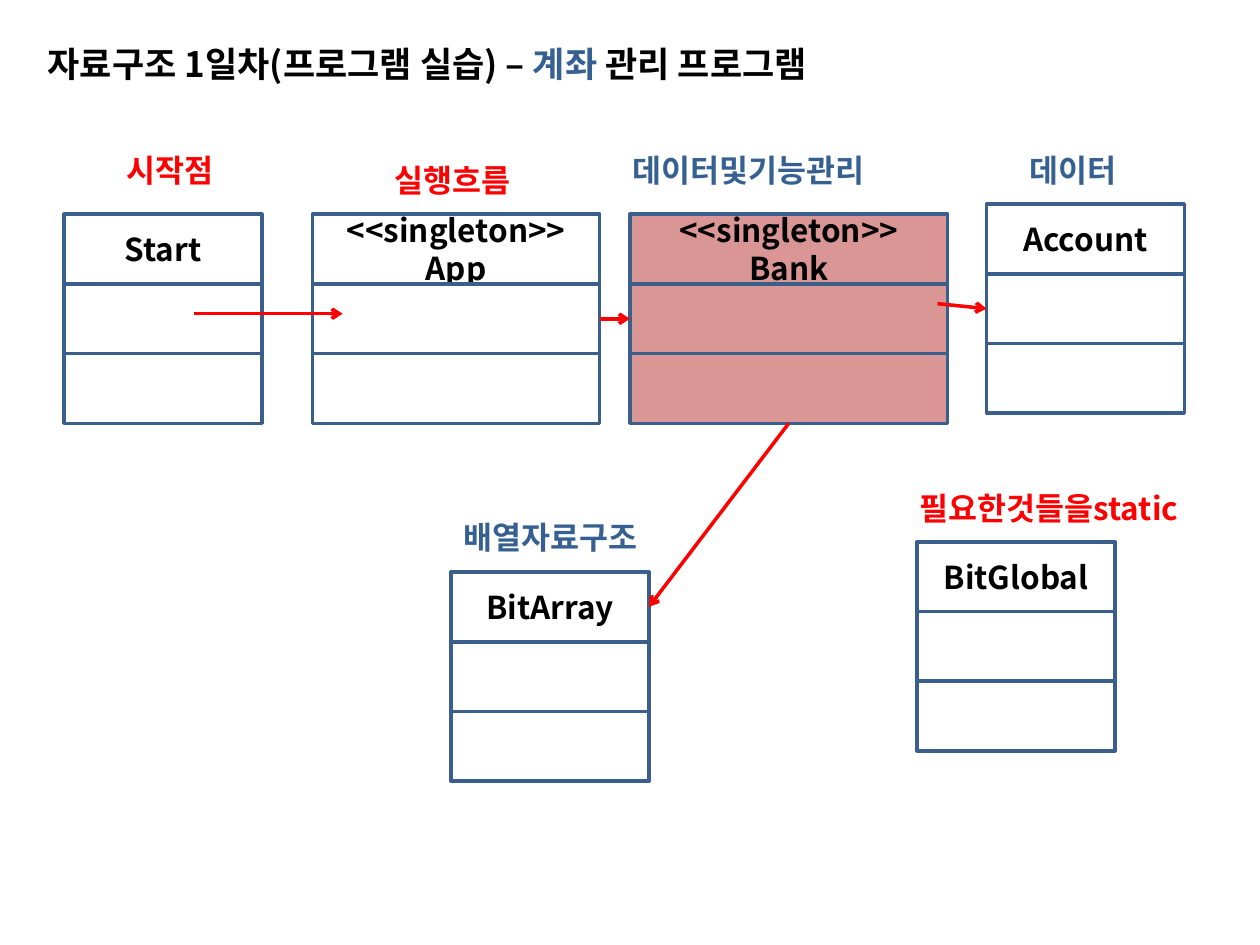
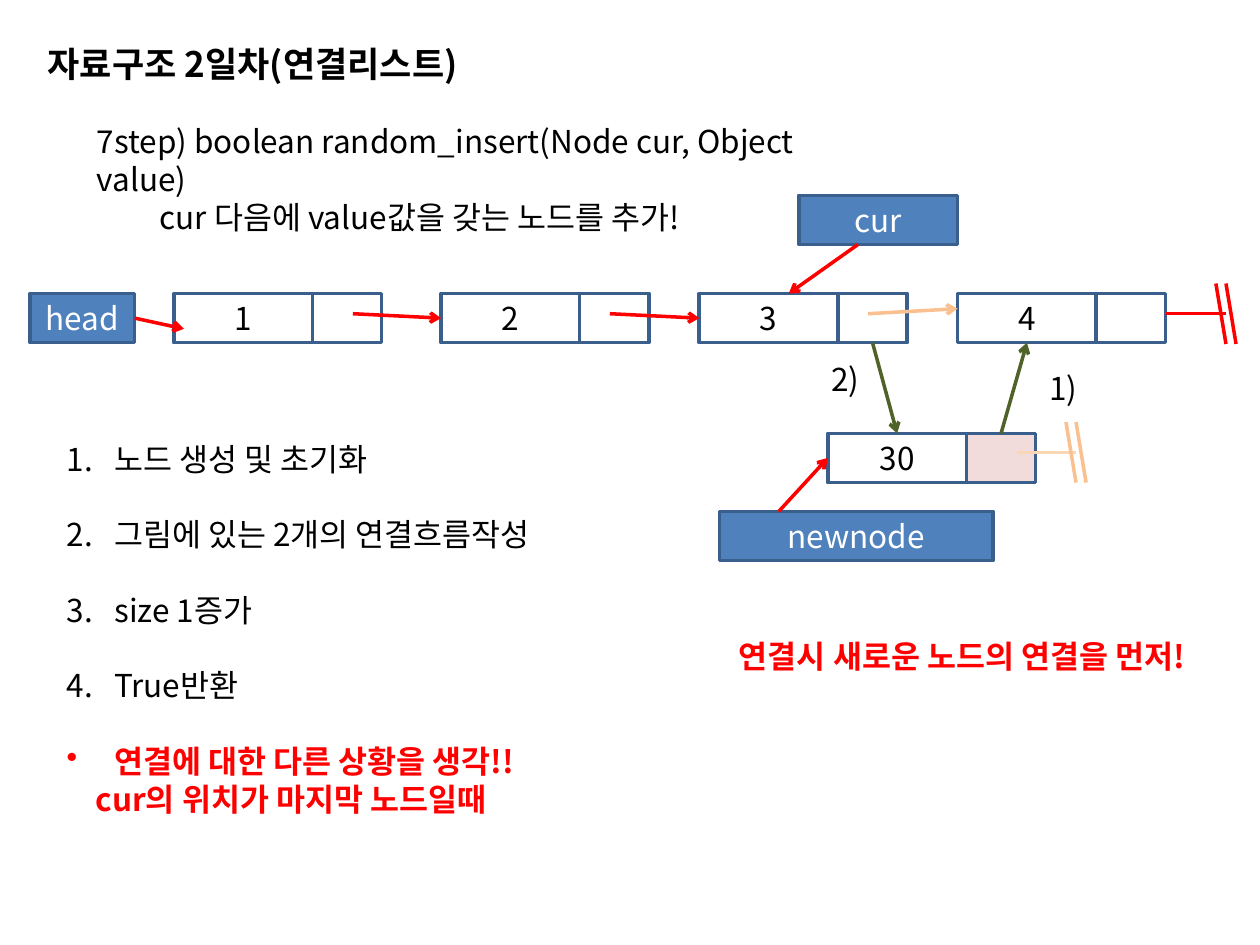
from dataclasses import dataclass
from typing import NamedTuple

from lxml import etree
from pptx import Presentation
from pptx.dml.color import RGBColor
from pptx.enum.shapes import MSO_CONNECTOR, MSO_SHAPE
from pptx.enum.text import MSO_ANCHOR, PP_ALIGN
from pptx.oxml.ns import qn
from pptx.shapes.autoshape import Shape
from pptx.slide import Slide
from pptx.util import Inches, Pt

RECTANGLE = MSO_SHAPE.RECTANGLE
STRAIGHT = MSO_CONNECTOR.STRAIGHT
MIDDLE, TOP_ANCHOR = MSO_ANCHOR.MIDDLE, MSO_ANCHOR.TOP
LEFT_ALIGN, CENTER = PP_ALIGN.LEFT, PP_ALIGN.CENTER
TOP, LEFT, BOTTOM, RIGHT = range(4)


@dataclass(frozen=True)
class Theme:
    font: str = "Noto Sans CJK KR"
    title_size: int = 20
    body_size: int = 18
    line_width: int = 2
    black: str = "000000"
    white: str = "FFFFFF"
    red: str = "FF0000"
    navy: str = "376092"
    outline: str = "3A5F8C"
    blue: str = "4F81BD"
    rose: str = "D99694"
    pale_rose: str = "F2DCDB"
    orange: str = "FAC090"
    pale_orange: str = "FCD5B5"
    green: str = "4F6228"


THEME = Theme()
CLASS_HEIGHT, CLASS_ROWS = 1.66, 3
NODE_HEIGHT, VALUE_WIDTH, POINTER_WIDTH = 0.39, 1.1, 0.55
LIST_Y, NEW_Y = 2.33, 3.44
LIST_INDENT = 0.38


class Area(NamedTuple):
    x: float
    y: float
    width: float
    height: float


class Span(NamedTuple):
    text: str
    color: str = THEME.black
    bold: bool = False
    size: int = THEME.body_size


class Line(NamedTuple):
    """One paragraph, with its indent in inches and its bullet tag."""
    spans: list[Span]
    margin: float = 0
    hanging: float = 0
    bullet: tuple[str, dict[str, str]] | None = None
    space_before: float = 0


class Point(NamedTuple):
    x: float
    y: float


class Joint(NamedTuple):
    """The middle of one side of a box."""
    box: Shape
    side: int


class ClassBox(NamedTuple):
    names: list[str]
    x: float
    y: float
    width: float = 1.57
    fill: str = THEME.white


class Label(NamedTuple):
    text: str
    area: Area
    color: str = THEME.black
    bold: bool = False
    align: PP_ALIGN = LEFT_ALIGN


class Node(NamedTuple):
    value: Shape
    pointer: Shape


End = Point | Joint


def to_inches(area: Area) -> list[Inches]:
    return [Inches(length) for length in area]


def write(box: Shape, lines: list[Line], align: PP_ALIGN, anchor: MSO_ANCHOR) -> None:
    frame = box.text_frame
    frame.word_wrap = True
    frame.vertical_anchor = anchor
    for index, line in enumerate(lines):
        para = frame.paragraphs[0] if index == 0 else frame.add_paragraph()
        para.alignment = align
        if line.space_before:
            para.space_before = Pt(line.space_before)
        properties = para._p.get_or_add_pPr()
        properties.set("marL", str(Inches(line.margin)))
        properties.set("indent", str(Inches(-line.hanging)))
        if line.bullet:
            tag, attributes = line.bullet
            etree.SubElement(properties, qn(tag), attributes)
        for part in line.spans:
            span = para.add_run()
            span.text = part.text
            formats = {"name": THEME.font, "size": Pt(part.size), "bold": part.bold}
            for key, value in formats.items():
                setattr(span.font, key, value)
            span.font.color.rgb = RGBColor.from_string(part.color)
            etree.SubElement(span.font._element, qn("a:ea"), typeface=THEME.font)


def add_text(page: Slide, area: Area, lines: list[Line],
             align: PP_ALIGN = LEFT_ALIGN) -> None:
    write(page.shapes.add_textbox(*to_inches(area)), lines, align, TOP_ANCHOR)


def add_title(page: Slide, width: float, *spans: tuple[str, str]) -> None:
    line = Line([Span(text, color, True, THEME.title_size) for text, color in spans])
    add_text(page, Area(0.28, 0.29, width, 0.44), [line])


def add_label(page: Slide, label: Label) -> None:
    line = Line([Span(label.text, label.color, label.bold)])
    add_text(page, label.area, [line], label.align)


def add_box(page: Slide, area: Area, fill: str | None = None,
            spans: list[Span] | None = None) -> Shape:
    box = page.shapes.add_shape(RECTANGLE, *to_inches(area))
    box.shadow.inherit = False
    if fill:
        box.fill.solid()
        box.fill.fore_color.rgb = RGBColor.from_string(fill)
    else:
        box.fill.background()
    box.line.color.rgb = RGBColor.from_string(THEME.outline)
    box.line.width = Pt(THEME.line_width)
    if spans:
        write(box, [Line([span]) for span in spans], CENTER, MIDDLE)
    return box


def add_class(page: Slide, item: ClassBox) -> list[Shape]:
    """Draw the name row and the two empty member rows."""
    height = CLASS_HEIGHT / CLASS_ROWS
    names = [Span(name, bold=True) for name in item.names]
    return [add_box(page, Area(item.x, item.y + row * height, item.width, height),
                    item.fill, names if row == 0 else None)
            for row in range(CLASS_ROWS)]


def add_node(page: Slide, value: str, x: float, y: float,
             pointer_fill: str | None = None) -> Node:
    return Node(
        add_box(page, Area(x, y, VALUE_WIDTH, NODE_HEIGHT), None, [Span(value)]),
        add_box(page, Area(x + VALUE_WIDTH, y, POINTER_WIDTH, NODE_HEIGHT), pointer_fill))


def add_tag(page: Slide, name: str, x: float, y: float, width: float) -> Shape:
    return add_box(page, Area(x, y, width, NODE_HEIGHT), THEME.blue,
                   [Span(name, THEME.white)])


def add_line(page: Slide, start: End, end: End, color: str = THEME.red,
             arrow: bool = True) -> None:
    points = [Inches(length) for place in (start, end)
              for length in (place if isinstance(place, Point) else (0, 0))]
    line = page.shapes.add_connector(STRAIGHT, *points)
    if isinstance(start, Joint):
        line.begin_connect(*start)
    if isinstance(end, Joint):
        line.end_connect(*end)
    line.line.color.rgb = RGBColor.from_string(color)
    line.line.width = Pt(THEME.line_width)
    if arrow:
        etree.SubElement(line.line._get_or_add_ln(), qn("a:tailEnd"), type="arrow")
    etree.SubElement(line._element.spPr, qn("a:effectLst"))


def add_list_end(page: Slide, start: Point, bar_x: float, lead: str, bars: str) -> None:
    """Draw the lead and the two slanted bars that stand for null."""
    slant, rise = 0.08, 0.24
    add_line(page, start, Point(bar_x + slant, start.y), lead, arrow=False)
    for x in (bar_x, bar_x + slant):
        add_line(page, Point(x, start.y - rise), Point(x + slant, start.y + rise),
                 bars, arrow=False)


def build_class_page(page: Slide) -> None:
    add_title(page, 8.66, ("자료구조 1일차(프로그램 실습) – ", THEME.black),
              ("계좌", THEME.navy), (" 관리 프로그램", THEME.black))
    classes = [
        ClassBox(["Start"], 0.51, 1.7),
        ClassBox(["<<singleton>>", "App"], 2.48, 1.7, 2.28),
        ClassBox(["<<singleton>>", "Bank"], 5, 1.7, 2.52, THEME.rose),
        ClassBox(["BitArray"], 3.58, 4.54),
        ClassBox(["Account"], 7.83, 1.62),
        ClassBox(["BitGlobal"], 7.28, 4.3),
    ]
    _, app, bank, array, account, _ = [add_class(page, item) for item in classes]
    for text, x, y, width, color in [
        ("시작점", 0.91, 1.15, 0.96, THEME.red),
        ("실행흐름", 3.03, 1.23, 1.21, THEME.red),
        ("데이터및기능관리", 4.92, 1.15, 2.22, THEME.navy),
        ("데이터", 8.07, 1.15, 0.96, THEME.navy),
        ("배열자료구조", 3.58, 4.06, 1.72, THEME.navy),
        ("필요한것들을static", 7.2, 3.83, 2.36, THEME.red),
    ]:
        add_label(page, Label(text, Area(x, y, width, 0.4), color, True))
    add_line(page, Point(1.54, 2.49), Point(2.72, 2.49))
    add_line(page, Joint(bank[2], BOTTOM), Joint(array[0], RIGHT))
    add_line(page, Point(7.44, 2.41), Joint(account[1], LEFT))
    add_line(page, Joint(app[1], RIGHT), Joint(bank[1], LEFT))


def add_steps(page: Slide) -> None:
    number = ("a:buAutoNum", {"type": "arabicPeriod"})
    dot = ("a:buChar", {"char": "•"})
    steps = ["노드 생성 및 초기화", "그림에 있는 2개의 연결흐름작성", "size 1증가", "True반환"]
    gap = THEME.body_size * 1.2
    lines = [Line([Span(step)], LIST_INDENT, LIST_INDENT, number, gap if index else 0)
             for index, step in enumerate(steps)]
    lines += [
        Line([Span("연결에 대한 다른 상황을 생각!!", THEME.red, True)],
             LIST_INDENT, LIST_INDENT, dot, gap),
        Line([Span("cur의 위치가 마지막 노드일때", THEME.red, True)], 0.23),
    ]
    add_text(page, Area(0.43, 3.44, 4.49, 3.13), lines)


def build_list_page(page: Slide) -> None:
    add_title(page, 6.54, ("자료구조 2일차(연결리스트)", THEME.black))
    add_text(page, Area(0.67, 0.92, 6.42, 0.71), [
        Line([Span("7step) boolean random_insert(Node cur, Object value)")]),
        Line([Span("cur 다음에 value값을 갖는 노드를 추가!")], 0.5),
    ])
    head = add_tag(page, "head", 0.24, LIST_Y, 0.83)
    newnode = (add_tag(page, "newnode", 5.71, 4.06, 2.17))
    add_tag(page, "cur", 6.34, 1.55, 1.26)
    _, second, third, fourth = [
        add_node(page, str(value), x, LIST_Y)
        for value, x in enumerate((1.38, 3.5, 5.55, 7.6), start=1)]
    inserted = add_node(page, "30", 6.57, NEW_Y, THEME.pale_rose)

    add_line(page, Joint(head, RIGHT), Point(1.46, 2.61))
    add_line(page, Point(2.8, 2.49), Joint(second.value, LEFT))
    add_line(page, Point(4.84, 2.49), Joint(third.value, LEFT))
    add_line(page, Point(6.89, 2.49), Point(7.6, 2.45), THEME.orange)
    add_line(page, Point(6.81, 1.94), Point(6.26, LIST_Y))
    add_line(page, Point(6.18, 4.06), Joint(inserted.value, LEFT))
    add_line(page, Joint(inserted.pointer, TOP), Joint(fourth.value, BOTTOM), THEME.green)
    add_line(page, Joint(third.pointer, BOTTOM), Joint(inserted.value, TOP), THEME.green)
    add_list_end(page, Point(9.25, 2.49), 9.65, THEME.red, THEME.red)
    add_list_end(page, Point(8.07, 3.59), 8.46, THEME.pale_orange, THEME.orange)

    for label in [
        Label("1)", Area(8.23, 2.88, 0.42, 0.4)),
        Label("2)", Area(6.5, 2.81, 0.42, 0.4)),
        Label("연결시 새로운 노드의 연결을 먼저!", Area(5.55, 5.01, 4.17, 0.4),
              THEME.red, True, CENTER),
    ]:
        add_label(page, label)
    add_steps(page)


def main() -> None:
    deck = Presentation()
    deck.slide_width, deck.slide_height = Inches(10), Inches(7.5)
    blank = deck.slide_layouts[6]
    for build in (build_class_page, build_list_page):
        build(deck.slides.add_slide(blank))
    deck.save("out.pptx")


if __name__ == "__main__":
    main()
